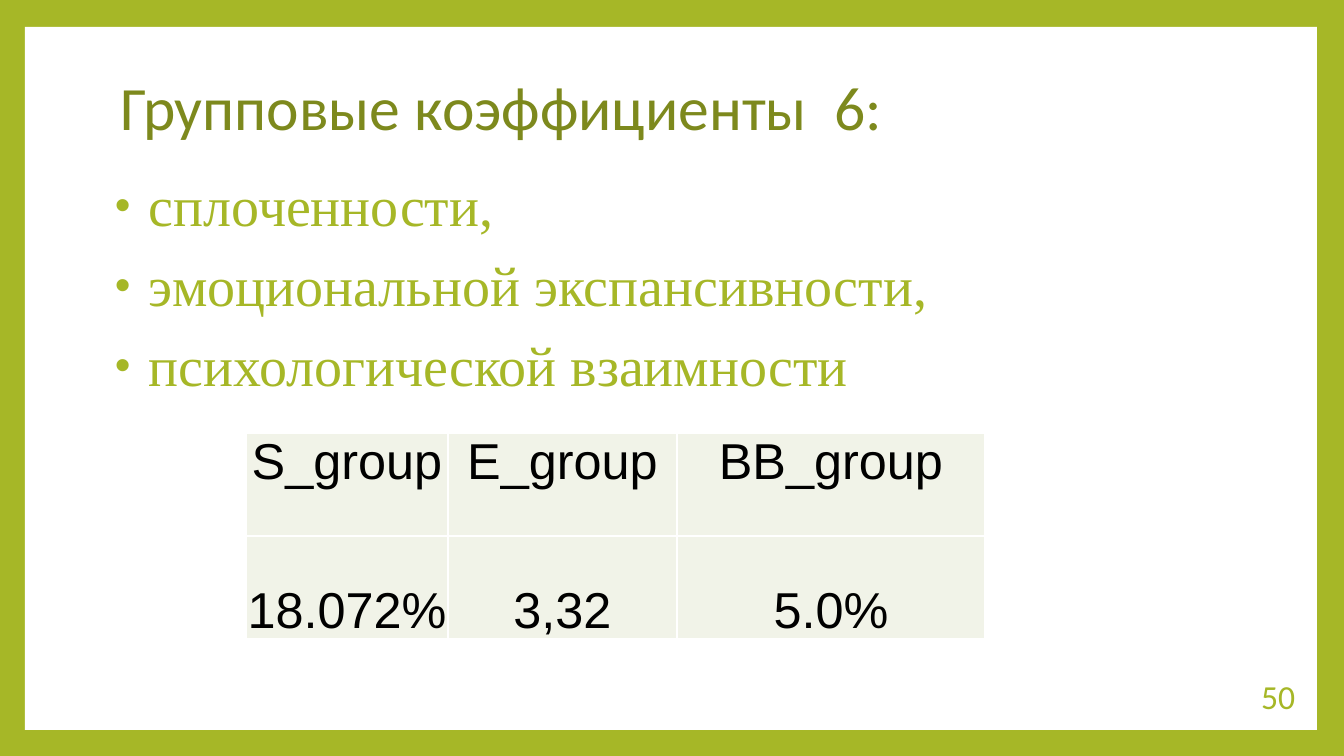
import lxml.etree
import pptx
import pptx.dml.color
import pptx.enum.shapes
import pptx.enum.text
import pptx.oxml.ns
import pptx.util

COLORS = {
    "lime": "A6B727",
    "olive": "7D891D",
    "white": "FFFFFF",
    "black": "000000",
    "cell": "F1F3E8",
}
ALIGN = pptx.enum.text.PP_ALIGN
ANCHOR = pptx.enum.text.MSO_ANCHOR
SCALE = 914400 / 100.8


def px(length):
    return pptx.util.Emu(round(length * SCALE))


def rgb(name):
    return pptx.dml.color.RGBColor.from_string(COLORS[name])


def add_xml(parent, tag, **attributes):
    return lxml.etree.SubElement(parent, pptx.oxml.ns.qn(tag), attributes)


class SlideBuilder:
    def __init__(self, presentation):
        self.slide = presentation.slides.add_slide(presentation.slide_layouts[6])

    def background(self, color):
        fill = self.slide.background.fill
        fill.solid()
        fill.fore_color.rgb = rgb(color)

    def panel(self, box, color):
        panel = self.slide.shapes.add_shape(
            pptx.enum.shapes.MSO_SHAPE.RECTANGLE, *map(px, box))
        panel.shadow.inherit = False
        panel.fill.solid()
        panel.fill.fore_color.rgb = rgb(color)
        panel.line.fill.background()

    def add_run(self, paragraph, wording, font, size, color, align=ALIGN.LEFT):
        paragraph.alignment = align
        run = paragraph.add_run()
        run.text = wording
        run.font.name = font
        run.font.size = pptx.util.Pt(size)
        run.font.color.rgb = rgb(color)

    def frame(self, box, anchor):
        frame = self.slide.shapes.add_textbox(*map(px, box)).text_frame
        frame.word_wrap = True
        frame.vertical_anchor = anchor
        return frame

    def text(self, box, wording, font, size, color, align=ALIGN.LEFT):
        paragraph = self.frame(box, ANCHOR.MIDDLE).paragraphs[0]
        paragraph.line_spacing = 0.9
        self.add_run(paragraph, wording, font, size, color, align)

    def bullets(self, box, items, font, size, color):
        frame = self.frame(box, ANCHOR.TOP)
        for index, item in enumerate(items):
            paragraph = frame.add_paragraph() if index else frame.paragraphs[0]
            paragraph.line_spacing = 0.9
            paragraph.space_before = pptx.util.Pt(14)
            self.add_run(paragraph, item, font, size, color)
            properties = paragraph._p.get_or_add_pPr()
            properties.set("marL", str(px(39)))
            properties.set("indent", str(px(-34)))
            bullet_color = add_xml(properties, "a:buClr")
            add_xml(bullet_color, "a:srgbClr", val=COLORS[color])
            add_xml(properties, "a:buSzPct", val="80000")
            add_xml(properties, "a:buFont", typeface="Arial")
            add_xml(properties, "a:buChar", char="•")

    def borders(self, cell, color):
        properties = cell._tc.get_or_add_tcPr()
        for side in ("a:lnL", "a:lnR", "a:lnT", "a:lnB"):
            line = add_xml(properties, side, w="12700")
            add_xml(add_xml(line, "a:solidFill"), "a:srgbClr", val=COLORS[color])

    def table(self, left, top, widths, row_height, rows, anchors, font, size):
        table = self.slide.shapes.add_table(
            len(rows), len(widths), px(left), px(top),
            px(sum(widths)), px(row_height * len(rows))).table
        table.first_row = False
        table.horz_banding = False
        for column, width in zip(table.columns, widths):
            column.width = px(width)
        for row_index, (row, anchor) in enumerate(zip(rows, anchors)):
            table.rows[row_index].height = px(row_height)
            for column_index, value in enumerate(row):
                cell = table.cell(row_index, column_index)
                cell.margin_left = cell.margin_right = cell.margin_top = px(1)
                cell.margin_bottom = 0
                cell.vertical_anchor = anchor
                self.borders(cell, "white")
                cell.fill.solid()
                cell.fill.fore_color.rgb = rgb("cell")
                self.add_run(cell.text_frame.paragraphs[0], value,
                             font, size, "black", ALIGN.CENTER)


def main():
    presentation = pptx.Presentation()
    presentation.slide_width = px(1344)
    presentation.slide_height = px(756)

    builder = SlideBuilder(presentation)
    builder.background("lime")
    builder.panel((25, 27, 1292, 703), "white")
    builder.text((111, 36, 1089, 149), "Групповые коэффициенты  6:",
                 "Calibri", 44, "olive")
    builder.table(
        246, 433, (202, 229, 308), 103,
        (("S_group", "E_group", "BB_group"), ("18.072%", "3,32", "5.0%")),
        (ANCHOR.TOP, ANCHOR.BOTTOM), "Arial", 36)
    builder.text((1117, 679, 188, 40), "50", "Calibri", 24, "lime", ALIGN.RIGHT)
    builder.bullets(
        (100, 173, 1159, 234),
        ("сплоченности,", "эмоциональной экспансивности,",
         "психологической взаимности"),
        "Times New Roman", 40, "lime")

    presentation.save("out.pptx")


if __name__ == "__main__":
    main()
